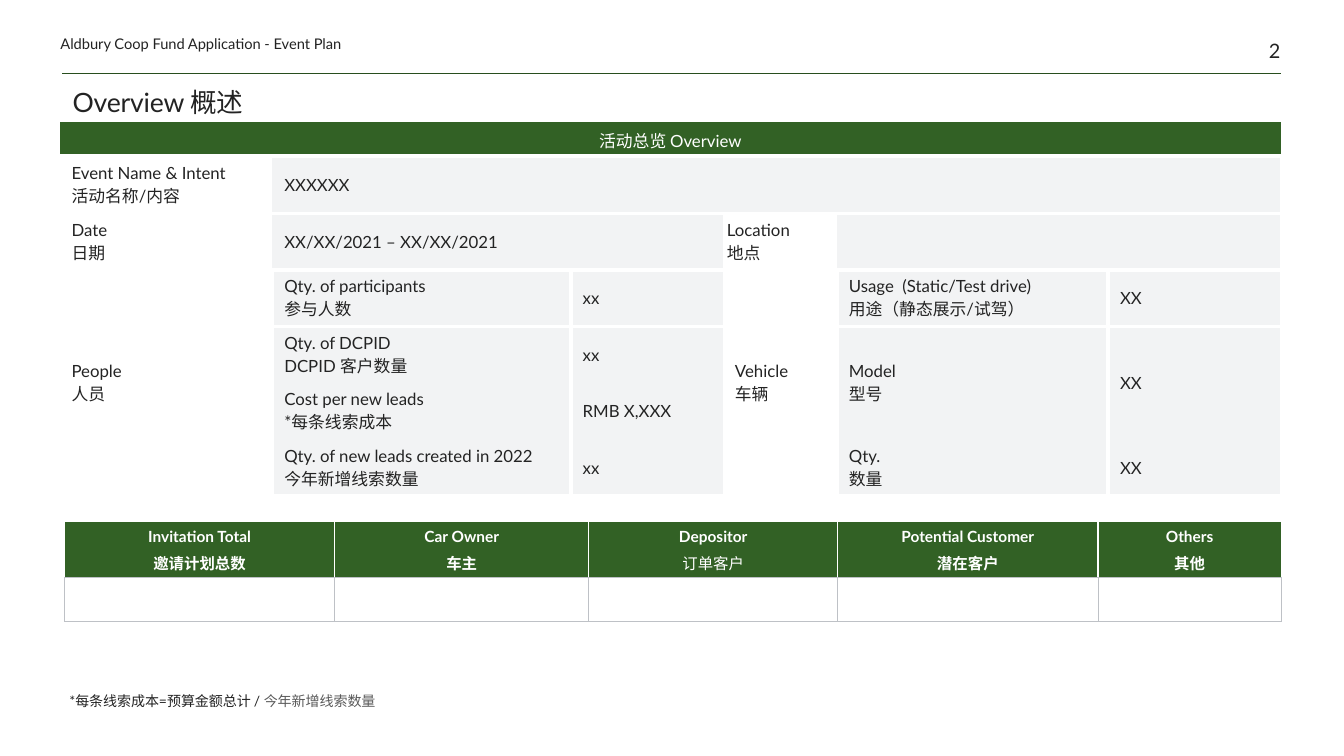
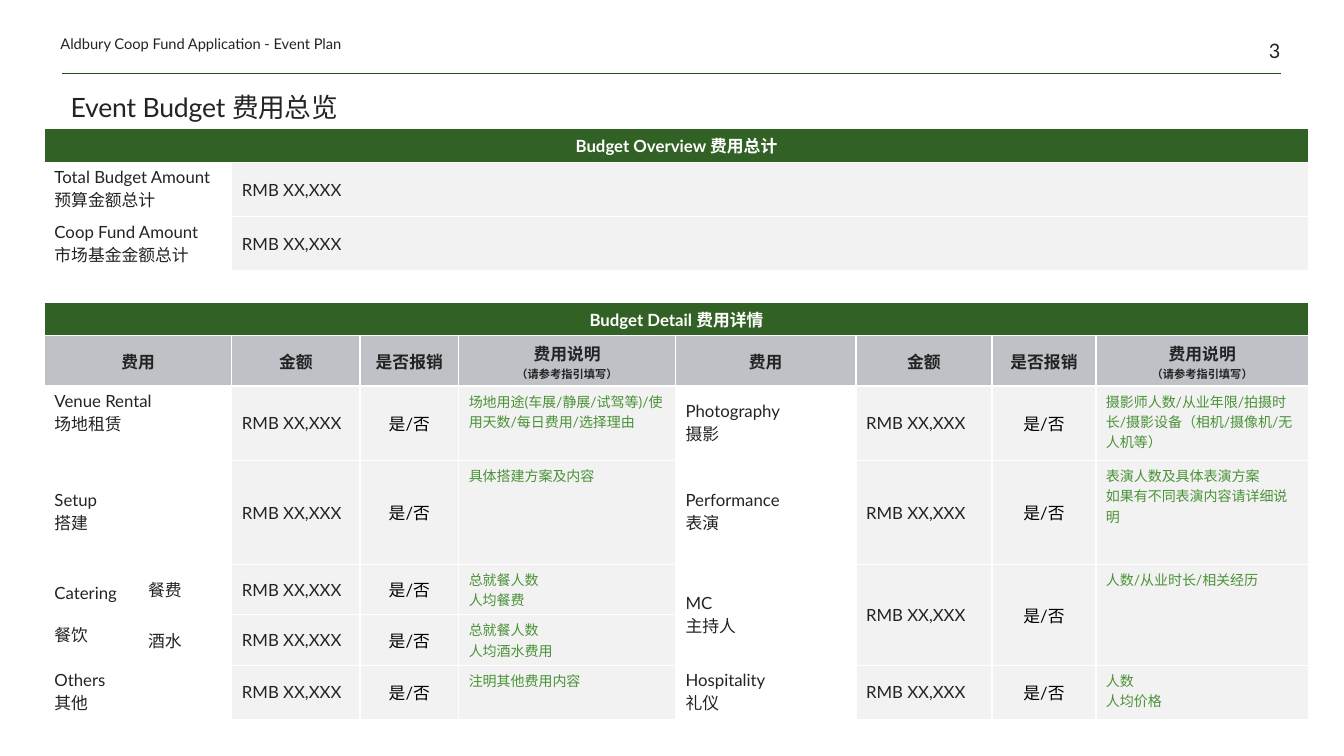
from lxml import etree
from pptx import Presentation
from pptx.dml.color import RGBColor
from pptx.enum.shapes import MSO_CONNECTOR
from pptx.enum.text import MSO_ANCHOR as Anchor, MSO_AUTO_SIZE as AutoSize, PP_ALIGN as Align
from pptx.oxml.ns import qn
from pptx.util import Pt

# Shared look
EMU_PER_PX = 9144  # 100 px to the inch
FONT = "Lato"
GREEN, NOTE_GREEN, RULE_GREEN = "326125", "4B9238", "284E1E"
INK, MUTED, BLACK, WHITE = "232323", "5A5A5A", "000000", "FFFFFF"
PALE, LIGHT, SILVER = "F2F3F4", "F2F2F2", "BEC1C6"
PLAIN_TABLE = "{2D5ABB26-0587-4C30-8999-92F81FD0307C}"
RUNNING_HEAD = "Aldbury Coop Fund Application - Event Plan"


def px(length):
    return round(length * EMU_PER_PX)


def rgb(color):
    return RGBColor.from_string(color)


# Text
def style_para(para, size, color=INK, bold=False, align=None):
    para.alignment = align
    for span in para.runs:
        font = span.font
        font.name, font.size, font.bold = FONT, Pt(size), bold
        font.color.rgb = rgb(color)


def add_text(page, text, box, size, align=None, anchor=Anchor.TOP, inset=True):
    shape = page.shapes.add_textbox(*map(px, box))
    frame = shape.text_frame
    frame.word_wrap = True
    frame.vertical_anchor = anchor
    if not inset:
        frame.margin_left = frame.margin_right = 0
        frame.margin_top = frame.margin_bottom = 0
    frame.text = text
    style_para(frame.paragraphs[0], size, align=align)
    return frame.paragraphs[0]


def add_page(deck, number, title, title_box):
    page = deck.slides.add_slide(deck.slide_layouts[5])

    # Rule below the running head
    rule = page.shapes.add_connector(MSO_CONNECTOR.STRAIGHT, px(62), px(73), px(1271), px(73))
    rule.line.color.rgb = rgb(RULE_GREEN)
    rule.line.width = Pt(0.5)
    etree.SubElement(rule._element.spPr, qn("a:effectLst"))

    # Running head and page number
    add_text(page, RUNNING_HEAD, (60, 29, 417, 23), 10.5, anchor=Anchor.BOTTOM, inset=False)
    add_text(page, str(number), (1187, 0, 83, 62), 14.2, Align.RIGHT, Anchor.BOTTOM, inset=False)

    # Title
    heading = page.shapes.title
    heading.left, heading.top, heading.width, heading.height = map(px, title_box)
    frame = heading.text_frame
    frame.text = title
    frame.auto_size = AutoSize.NONE
    frame.vertical_anchor = Anchor.BOTTOM
    para = frame.paragraphs[0]
    style_para(para, 19, align=Align.LEFT)
    para.line_spacing = 0.85
    para.runs[0].font._element.set("spc", "-10")
    return page


# Tables
def add_table(page, left, top, columns, rows):
    box = map(px, (left, top, sum(columns), sum(rows)))
    table = page.shapes.add_table(len(rows), len(columns), *box).table
    table.first_row = table.horz_banding = False
    table._tbl.tblPr.find(qn("a:tableStyleId")).text = PLAIN_TABLE
    for column, width in zip(table.columns, columns):
        column.width = px(width)
    for row, height in zip(table.rows, rows):
        row.height = px(height)
    return table


def set_borders(cell, sides, color, width):
    props = cell._tc.get_or_add_tcPr()
    for side in "LRTB":
        if side in sides:
            line = etree.SubElement(props, qn("a:ln" + side), w=str(Pt(width)))
            fill = etree.SubElement(line, qn("a:solidFill"))
            etree.SubElement(fill, qn("a:srgbClr"), val=color)


def put(table, row, col, text="", down=1, across=1, fill=None, size=12, color=INK,
        bold=False, align=None, anchor=Anchor.MIDDLE, margins=None,
        sides="LRTB", border=(WHITE, 1)):
    cell = table.cell(row, col)
    if down > 1 or across > 1:
        cell.merge(table.cell(row + down - 1, col + across - 1))
    set_borders(cell, sides, *border)
    if fill:
        cell.fill.solid()
        cell.fill.fore_color.rgb = rgb(fill)
    if margins:
        (cell.margin_left, cell.margin_top,
         cell.margin_right, cell.margin_bottom) = map(px, margins)
    cell.vertical_anchor = anchor
    cell.text_frame.text = text
    paras = cell.text_frame.paragraphs
    for para in paras:
        style_para(para, size, color, bold, align)
    if not text:  # an empty cell keeps the row at its text size
        etree.SubElement(paras[0]._p, qn("a:endParaRPr"), sz=str(size * 100))
    return paras


# Overview page
def add_overview_table(page):
    table = add_table(page, 59, 121, [211, 296, 151, 113, 269, 172],
                      [34, 57] + [56] * 5)
    # row, column, text, rows down, columns across, fill, white sides
    cells = [
        (0, 0, "活动总览 Overview", 1, 6, GREEN, "B"),
        (1, 0, "Event Name & Intent\n活动名称/内容", 1, 1, None, "LTB"),
        (1, 1, "XXXXXX", 1, 5, PALE, "RTB"),
        (2, 0, "Date\n日期", 1, 1, None, "LTB"),
        (2, 1, "XX/XX/2021 – XX/XX/2021", 1, 2, PALE, "TB"),
        (2, 3, "Location\n地点", 1, 1, WHITE, "TB"),
        (2, 4, "", 1, 2, PALE, "RTB"),
        (3, 0, "People\n人员", 4, 1, None, "LRTB"),
        (3, 1, "Qty. of participants\n参与人数", 1, 1, PALE, "LT"),
        (3, 2, "xx", 1, 1, PALE, "T"),
        (3, 3, "Vehicle\n车辆", 4, 1, WHITE, "RTB"),
        (3, 4, "Usage  (Static/Test drive)\n用途（静态展示/试驾）", 1, 1, PALE, "LT"),
        (3, 5, "XX", 1, 1, PALE, "RT"),
        (4, 1, "Qty. of DCPID\nDCPID 客户数量", 1, 1, PALE, "L"),
        (4, 2, "xx", 1, 1, PALE, ""),
        (4, 4, "Model\n型号", 2, 1, PALE, "L"),
        (4, 5, "XX", 2, 1, PALE, "R"),
        (5, 1, "Cost per new leads\n*每条线索成本", 1, 1, PALE, "L"),
        (5, 2, "RMB X,XXX", 1, 1, PALE, ""),
        (6, 1, "Qty. of new leads created in 2022\n今年新增线索数量", 1, 1, PALE, "LB"),
        (6, 2, "xx", 1, 1, PALE, "B"),
        (6, 4, "Qty.\n数量", 1, 1, PALE, "LB"),
        (6, 5, "XX", 1, 1, PALE, "RB"),
    ]
    for row, col, text, down, across, fill, sides in cells:
        header = fill == GREEN
        put(table, row, col, text, down, across, fill,
            color=WHITE if header else INK, align=Align.CENTER if header else None,
            margins=(4, 6, 0, 6) if text.startswith("Location") else (12, 6, 12, 6),
            sides=sides, border=(WHITE, 3))


def add_invitation_table(page):
    groups = ["Invitation Total\n邀请计划总数", "Car Owner\n车主", "Depositor\n订单客户",
              "Potential Customer\n潜在客户", "Others\n其他"]
    table = add_table(page, 64, 518, [268, 252, 247, 258, 182], [55, 43])
    for col, group in enumerate(groups):
        inner = ("L" if col else "") + ("R" if col < len(groups) - 1 else "")
        paras = put(table, 0, col, group, fill=GREEN, size=11, color=WHITE, bold=True,
                    align=Align.CENTER, margins=(5, 5, 5, 5), sides=inner)
        for para in paras:
            para.space_before = Pt(4)
        if group.startswith("Depositor"):
            paras[1].runs[0].font.bold = False
        put(table, 1, col, border=(SILVER, 0.5))


def add_overview_page(deck):
    page = add_page(deck, 2, "Overview 概述", (62, 82, 1209, 40))
    add_overview_table(page)
    add_invitation_table(page)
    footnote = add_text(page, "*每条线索成本=预算金额总计 / ", (59, 682, 560, 27), 10)
    footnote.add_run().text = "今年新增线索数量"
    style_para(footnote, 10)
    footnote.runs[1].font.color.rgb = rgb(MUTED)


# Budget page
def add_budget_summary(table):
    for row, heading in ((0, "Budget Overview 费用总计"), (4, "Budget Detail 费用详情")):
        put(table, row, 0, heading, across=9, fill=GREEN, color=WHITE, bold=True,
            align=Align.CENTER)
    for row, label in ((1, "Total Budget Amount\n预算金额总计"),
                       (2, "Coop Fund Amount\n市场基金金额总计")):
        put(table, row, 0, label, across=2)
        put(table, row, 2, "RMB XX,XXX", across=7, fill=LIGHT)
    put(table, 3, 0, across=2, fill=WHITE)
    put(table, 3, 2, across=7, fill=WHITE)


def add_detail_headings(table):
    headings = ["费用", "金额", "是否报销", "费用说明\n（请参考指引填写）"]
    for columns in ((0, 2, 3, 4), (5, 6, 7, 8)):
        for col, heading in zip(columns, headings):
            paras = put(table, 5, col, heading, across=1 if col else 2, fill=SILVER,
                        bold=True, align=Align.CENTER)
            for para in paras[1:]:
                style_para(para, 8, bold=True, align=Align.CENTER)


def add_expense(table, row, col, note, down=1):
    put(table, row, col, "RMB XX,XXX", down, fill=LIGHT)
    put(table, row, col + 1, "是/否", down, fill=LIGHT, color=BLACK, align=Align.CENTER)
    put(table, row, col + 2, note, down, fill=LIGHT, size=10, color=NOTE_GREEN,
        anchor=Anchor.TOP)


def add_budget_page(deck):
    page = add_page(deck, 3, "Event Budget 费用总览", (60, 75, 1208, 52))
    table = add_table(page, 44, 127, [93, 93, 127, 98, 215, 179, 135, 103, 211],
                      [34, 54, 54, 31, 33, 50, 74, 103, 50, 50, 54])
    add_budget_summary(table)
    add_detail_headings(table)

    # Left half: labels span two columns
    for row, label, note in (
            (6, "Venue Rental\n场地租赁", "场地用途(车展/静展/试驾等)/使用天数/每日费用/选择理由"),
            (7, "Setup\n搭建", "具体搭建方案及内容"),
            (10, "Others\n其他", "注明其他费用内容")):
        put(table, row, 0, label, across=2, anchor=Anchor.TOP if row == 6 else Anchor.MIDDLE)
        add_expense(table, row, 2, note)

    # Catering is split into food and drinks
    catering = put(table, 8, 0, "Catering\n餐饮", down=2)
    catering[1].space_before = Pt(14)
    for row, part, note in ((8, "餐费", "总就餐人数\n人均餐费"),
                            (9, "酒水", "总就餐人数\n人均酒水费用")):
        put(table, row, 1, part)
        add_expense(table, row, 2, note)

    # Right half
    for row, down, label, note in (
            (6, 1, "Photography\n摄影",
             "摄影师人数/从业年限/拍摄时长/摄影设备（相机/摄像机/无人机等）"),
            (7, 1, "Performance\n表演", "表演人数及具体表演方案\n如果有不同表演内容请详细说明"),
            (8, 2, "MC\n主持人", "人数/从业时长/相关经历"),
            (10, 1, "Hospitality\n礼仪", "人数\n人均价格")):
        put(table, row, 5, label, down)
        add_expense(table, row, 6, note, down)


def main():
    deck = Presentation()
    deck.slide_width, deck.slide_height = px(1333), px(750)
    add_overview_page(deck)
    add_budget_page(deck)
    deck.save("out.pptx")


if __name__ == "__main__":
    main()
